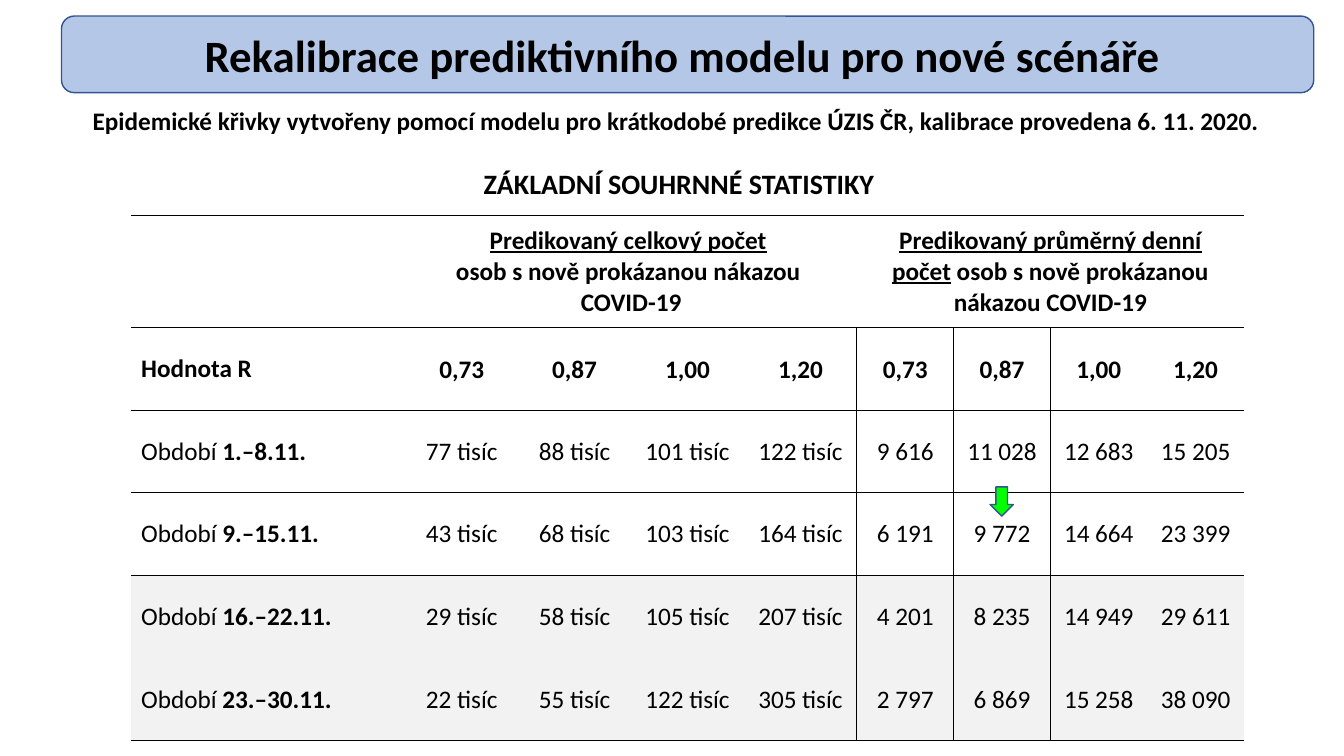
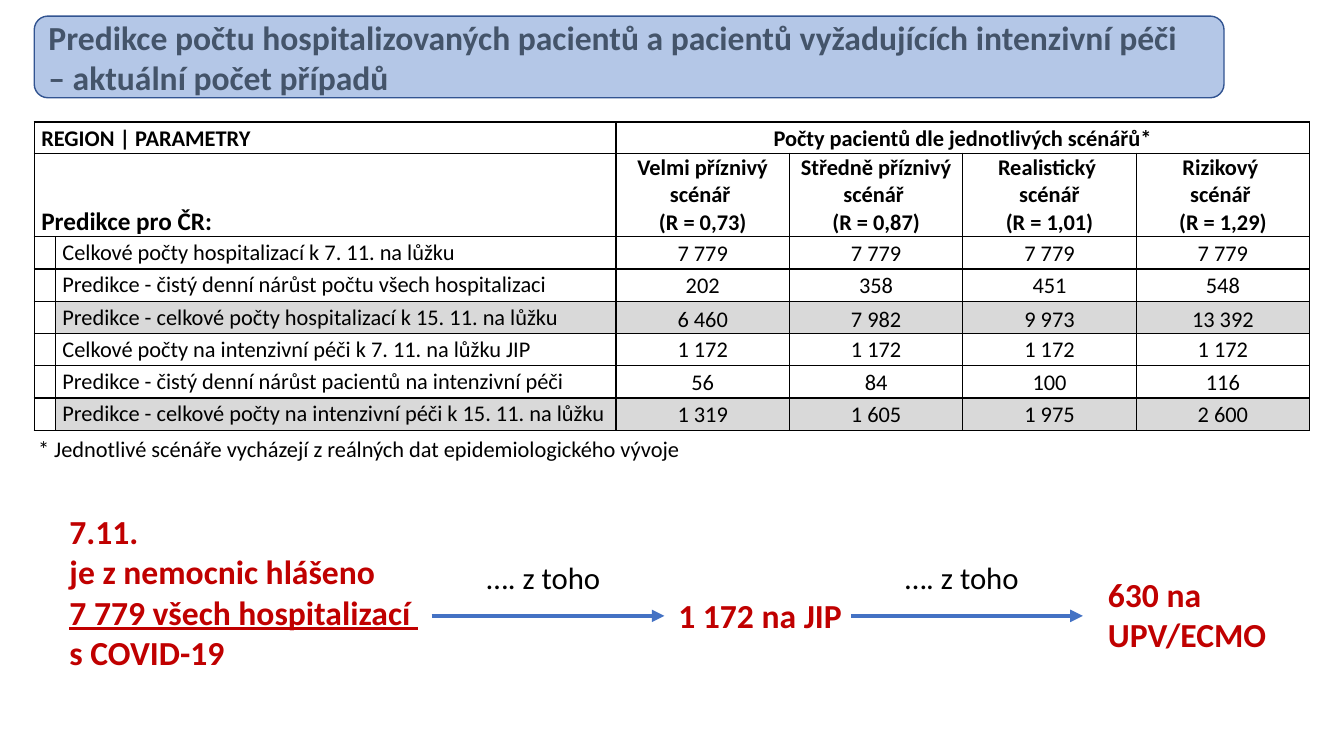
"""Build two slides on the recalibrated epidemic model and hospital predictions."""
from dataclasses import dataclass
from typing import Optional, Sequence, Union

import lxml.etree
import pptx
import pptx.dml.color
import pptx.enum.shapes
import pptx.enum.text
import pptx.oxml
import pptx.oxml.ns
import pptx.presentation
import pptx.shapes.autoshape
import pptx.shapes.connector
import pptx.slide
import pptx.table
import pptx.text.text
import pptx.util

Inches = pptx.util.Inches
Pt = pptx.util.Pt
RGBColor = pptx.dml.color.RGBColor
Align = pptx.enum.text.PP_ALIGN
Anchor = pptx.enum.text.MSO_ANCHOR
Shape = pptx.enum.shapes.MSO_SHAPE
qn = pptx.oxml.ns.qn

FONT = "Calibri"
BLACK = RGBColor(0x00, 0x00, 0x00)
SLATE = RGBColor(0x44, 0x54, 0x6A)
RED = RGBColor(0xC0, 0x00, 0x00)
GREEN = RGBColor(0x00, 0xFF, 0x00)
BAND_BLUE = RGBColor(0xB4, 0xC7, 0xE7)
OUTLINE_BLUE = RGBColor(0x32, 0x54, 0x91)
ARROW_BLUE = RGBColor(0x44, 0x72, 0xC4)
LIGHT_GREY = RGBColor(0xF2, 0xF2, 0xF2)
MID_GREY = RGBColor(0xD9, 0xD9, 0xD9)
PLAIN_TABLE_STYLE = "{2D5ABB26-0587-4C30-8999-92F81FD0307C}"

BOX_MARGINS = (0.1, 0.05, 0.1, 0.05)
TITLE_MARGINS = (0.14, 0.05, 0.14, 0.05)
LABEL_MARGINS = (0.07, 0, 0.07, 0)
VALUE_MARGINS = (0.01, 0.01, 0.01, 0)
NO_MARGINS = (0, 0, 0, 0)


@dataclass(frozen=True)
class Box:
    """Position and size in inches."""
    left: float
    top: float
    width: float
    height: float

    def lengths(self) -> tuple:
        """Return the box as lengths."""
        return tuple(Inches(value) for value in (self.left, self.top, self.width, self.height))


@dataclass(frozen=True)
class Run:
    """Piece of text that overrides the format of its paragraph."""
    text: str
    bold: Optional[bool] = None
    underline: Optional[bool] = None
    size: Optional[float] = None


@dataclass(frozen=True)
class Step:
    """Arrow of the patient flow with its caption box."""
    start: float
    end: float
    caption_left: float


@dataclass(frozen=True)
class PatientRow:
    """Table row with its label, scenario values and look."""
    label: str
    values: tuple
    sides: str = "LRTB"
    fill: Optional[RGBColor] = None
    anchor: Anchor = Anchor.MIDDLE


Paragraph = Union[str, Sequence[Run]]

PERIODS = (
    ("1.–8.11.", ("77 tisíc", "88 tisíc", "101 tisíc", "122 tisíc", "9 616", "11 028", "12 683", "15 205")),
    ("9.–15.11.", ("43 tisíc", "68 tisíc", "103 tisíc", "164 tisíc", "6 191", "9 772", "14 664", "23 399")),
    ("16.–22.11.", ("29 tisíc", "58 tisíc", "105 tisíc", "207 tisíc", "4 201", "8 235", "14 949", "29 611")),
    ("23.–30.11.", ("22 tisíc", "55 tisíc", "122 tisíc", "305 tisíc", "2 797", "6 869", "15 258", "38 090")),
)
REPRODUCTION_VALUES = ("0,73", "0,87", "1,00", "1,20")
GROUP_HEADS = (
    (1, "Predikovaný celkový počet", " \nosob s nově prokázanou nákazou \nCOVID-19"),
    (5, "Predikovaný průměrný denní počet", " osob s nově prokázanou nákazou COVID-19"),
)
SCENARIOS = (
    ("Velmi příznivý scénář ", "(R = 0,73)"),
    ("Středně příznivý scénář ", "(R = 0,87)"),
    ("Realistický ", " scénář ", "(R = 1,01)"),
    ("Rizikový ", "scénář ", "(R = 1,29)"),
)
PATIENT_ROWS = (
    PatientRow("Celkové počty hospitalizací k 7. 11. na lůžku", ("7 779",) * 4),
    PatientRow("Predikce - čistý denní nárůst počtu všech hospitalizaci", ("202", "358", "451", "548"), "LRT"),
    PatientRow("Predikce - celkové počty hospitalizací k 15. 11. na lůžku",
               ("6 460", "7 982", "9 973", "13 392"), "LRB", MID_GREY, Anchor.BOTTOM),
    PatientRow("Celkové počty na intenzivní péči k 7. 11. na lůžku JIP", ("1 172",) * 4),
    PatientRow("Predikce - čistý denní nárůst pacientů na intenzivní péči", ("56", "84", "100", "116"), "LRT"),
    PatientRow("Predikce - celkové počty na intenzivní péči k 15. 11. na lůžku",
               ("1 319", "1 605", "1 975", "2 600"), "LRB", MID_GREY),
)
STEPS = (Step(4.28, 6.59, 4.09), Step(8.44, 10.74, 8.24))


def write(holder: Union[pptx.text.text.TextFrame, pptx.table._Cell], paragraphs: Sequence[Paragraph], *,
          size: float = 18, bold: bool = False, color: RGBColor = BLACK, align: Align = Align.LEFT,
          anchor: Anchor = Anchor.TOP, margins: tuple = BOX_MARGINS, gap: float = 0,
          line_spacing: float = 1.0) -> None:
    """Write formatted paragraphs into a text frame or a table cell."""
    left, top, right, bottom = margins
    holder.margin_left, holder.margin_top = Inches(left), Inches(top)
    holder.margin_right, holder.margin_bottom = Inches(right), Inches(bottom)
    holder.vertical_anchor = anchor
    frame = holder.text_frame if isinstance(holder, pptx.table._Cell) else holder
    frame.word_wrap = True
    for index, content in enumerate(paragraphs):
        paragraph = frame.add_paragraph() if index else frame.paragraphs[0]
        paragraph.alignment = align
        paragraph.line_spacing = line_spacing
        if index and gap:
            paragraph.space_before = Pt(gap)
        for piece in (Run(content),) if isinstance(content, str) else content:
            for number, line in enumerate(piece.text.split("\n")):
                if number:
                    paragraph.add_line_break()
                run = paragraph.add_run()
                run.text = line
                run.font.name = FONT
                run.font.size = Pt(piece.size or size)
                run.font.bold = bold if piece.bold is None else piece.bold
                run.font.underline = piece.underline
                run.font.color.rgb = color


def add_text(slide: pptx.slide.Slide, box: Box, paragraphs: Sequence[Paragraph], **text_format) -> None:
    """Add a text box."""
    write(slide.shapes.add_textbox(*box.lengths()).text_frame, paragraphs, **text_format)


def add_figure(slide: pptx.slide.Slide, kind: Shape, box: Box, fill: RGBColor) -> pptx.shapes.autoshape.Shape:
    """Add a filled shape with the shared outline."""
    shape = slide.shapes.add_shape(kind, *box.lengths())
    shape.shadow.inherit = False
    shape.fill.solid()
    shape.fill.fore_color.rgb = fill
    shape.line.color.rgb = OUTLINE_BLUE
    shape.line.width = Pt(1)
    return shape


def add_titled_slide(presentation: pptx.presentation.Presentation, box: Box, text: str,
                     **text_format) -> pptx.slide.Slide:
    """Add a slide with its title on a rounded band."""
    slide = presentation.slides.add_slide(presentation.slide_layouts[5])
    title = slide.shapes.title
    title.left, title.top, title.width, title.height = box.lengths()
    title.text_frame.auto_size = pptx.enum.text.MSO_AUTO_SIZE.NONE
    write(title.text_frame, [text], bold=True, anchor=Anchor.MIDDLE, margins=TITLE_MARGINS, **text_format)
    band = add_figure(slide, Shape.ROUNDED_RECTANGLE, box, BAND_BLUE)
    title.element.addprevious(band.element)
    return slide


def add_table(slide: pptx.slide.Slide, left: float, top: float, widths: Sequence[float],
              heights: Sequence[float]) -> pptx.table.Table:
    """Add an unstyled table with the given column widths and row heights."""
    box = Box(left, top, sum(widths), sum(heights))
    table = slide.shapes.add_table(len(heights), len(widths), *box.lengths()).table
    table.first_row = table.horz_banding = False
    table._tbl.tblPr.find(qn("a:tableStyleId")).text = PLAIN_TABLE_STYLE
    for column, width in zip(table.columns, widths):
        column.width = Inches(width)
    for row, height in zip(table.rows, heights):
        row.height = Inches(height)
    for cell in table.iter_cells():
        cell.margin_left = cell.margin_top = cell.margin_right = cell.margin_bottom = 0
    return table


def finish_cell(cell: pptx.table._Cell, sides: str, fill: Optional[RGBColor] = None) -> None:
    """Draw the borders named by L, R, T and B, then fill the cell."""
    properties = cell._tc.get_or_add_tcPr()
    for side in (side for side in "LRTB" if side in sides):
        line = lxml.etree.SubElement(properties, qn(f"a:ln{side}"), w=str(Pt(1)))
        solid = lxml.etree.SubElement(line, qn("a:solidFill"))
        lxml.etree.SubElement(solid, qn("a:srgbClr"), val=str(BLACK))
    if fill is None:
        cell.fill.background()
    else:
        cell.fill.solid()
        cell.fill.fore_color.rgb = fill


def add_arrow(slide: pptx.slide.Slide, start: float, end: float, height: float) -> None:
    """Add a horizontal arrow."""
    connector = slide.shapes.add_connector(pptx.enum.shapes.MSO_CONNECTOR.STRAIGHT,
                                           Inches(start), Inches(height), Inches(end), Inches(height))
    connector.line.color.rgb = ARROW_BLUE
    connector.line.width = Pt(3)
    lxml.etree.SubElement(connector.line._get_or_add_ln(), qn("a:tailEnd"), type="triangle")
    lxml.etree.SubElement(connector.element.spPr, qn("a:effectLst"))


def build_model_slide(presentation: pptx.presentation.Presentation) -> None:
    """Build the slide with predicted case counts."""
    slide = add_titled_slide(presentation, Box(0.61, 0.16, 12.42, 0.76),
                             "Rekalibrace prediktivního modelu pro nové scénáře ", size=32, align=Align.CENTER)
    table = add_table(slide, 1.3, 2.14, [2.72] + [1.12] * 4 + [0.96] * 4, [1.11] + [0.82] * 5)
    for column, heading, rest in GROUP_HEADS:
        table.cell(0, column).merge(table.cell(0, column + 3))
        write(table.cell(0, column), [(Run(heading, underline=True), Run(rest))], bold=True,
              align=Align.CENTER, anchor=Anchor.MIDDLE)
    rows = [((Run("Hodnota R", bold=True),), REPRODUCTION_VALUES * 2)]
    rows += [((Run("Období "), Run(period, bold=True)), values) for period, values in PERIODS]
    for row, (label, values) in enumerate(rows, 1):
        write(table.cell(row, 0), [label], anchor=Anchor.MIDDLE)
        for column, value in enumerate(values, 1):
            write(table.cell(row, column), [value], bold=row == 1, align=Align.CENTER, anchor=Anchor.MIDDLE,
                  margins=VALUE_MARGINS if row == 1 else NO_MARGINS)
    for row in range(6):
        for column in range(9):
            sides = ("T" if row < 4 else "") + ("B" if row not in (3, 4) else "")
            if row:
                sides += ("L" if column in (5, 6) else "") + ("R" if column in (4, 5) else "")
            finish_cell(table.cell(row, column), sides, LIGHT_GREY if row > 3 else None)
    add_text(slide, Box(0.61, 1, 12.25, 1.04), [
        "Epidemické křivky vytvořeny pomocí modelu pro krátkodobé predikce ÚZIS ČR, "
        "kalibrace provedena 6. 11. 2020. ",
        (Run("ZÁKLADNÍ SOUHRNNÉ STATISTIKY", size=20),),
    ], bold=True, align=Align.CENTER, gap=22)
    add_figure(slide, Shape.DOWN_ARROW, Box(9.82, 4.83, 0.23, 0.29), GREEN)


def build_patient_slide(presentation: pptx.presentation.Presentation) -> None:
    """Build the slide with predicted hospital patients."""
    slide = add_titled_slide(presentation, Box(0.34, 0.16, 11.8, 0.81),
                             "Predikce počtu hospitalizovaných pacientů a pacientů vyžadujících intenzivní péči\n"
                             "– aktuální počet případů", size=24, color=SLATE)
    table = add_table(slide, 0.34, 1.21, [0.21, 5.56] + [1.72] * 4, [0.31, 0.83] + [0.32] * 6)
    for row, first, last in ((0, 0, 1), (0, 2, 5), (1, 0, 1)):
        table.cell(row, first).merge(table.cell(row, last))
    heading = dict(size=16, bold=True, anchor=Anchor.MIDDLE, margins=LABEL_MARGINS)
    write(table.cell(0, 0), ["REGION | PARAMETRY"], line_spacing=1.07, **heading)
    write(table.cell(0, 2), ["Počty pacientů dle jednotlivých scénářů*"], line_spacing=1.07,
          align=Align.CENTER, **heading)
    write(table.cell(1, 0), ["Predikce pro ČR:"], bold=True, anchor=Anchor.BOTTOM, margins=LABEL_MARGINS,
          line_spacing=1.07)
    for column, scenario in enumerate(SCENARIOS, 2):
        write(table.cell(1, column), scenario, align=Align.CENTER, **heading)
    for row in range(2):
        for column in range(6):
            finish_cell(table.cell(row, column), "LRTB")
    for row, patients in enumerate(PATIENT_ROWS, 2):
        write(table.cell(row, 1), [patients.label], size=16, anchor=Anchor.MIDDLE, margins=LABEL_MARGINS)
        for column, value in enumerate(patients.values, 2):
            write(table.cell(row, column), [value], size=16, align=Align.CENTER, anchor=patients.anchor,
                  margins=VALUE_MARGINS)
        for column in range(6):
            finish_cell(table.cell(row, column), patients.sides, patients.fill if column else None)
    add_text(slide, Box(0.28, 4.25, 8.96, 0.38),
             ["* Jednotlivé scénáře vycházejí z reálných dat epidemiologického vývoje"], size=16, line_spacing=1.07)
    reported = ["7.11.", "je z nemocnic hlášeno", (Run("7 779 všech hospitalizací ", underline=True),), "s COVID-19"]
    for box, paragraphs in ((Box(0.59, 5.02, 3.69, 1.72), reported),
                            (Box(6.63, 5.85, 1.83, 0.5), ["1 172 na JIP"]),
                            (Box(10.89, 5.64, 2.31, 0.91), ["630 na UPV/ECMO"])):
        add_text(slide, box, paragraphs, size=24, bold=True, color=RED)
    for step in STEPS:
        add_arrow(slide, step.start, step.end, 6.11)
        add_text(slide, Box(step.caption_left, 5.47, 2.6, 0.5), ["…. z toho"], size=22, align=Align.CENTER,
                 line_spacing=1.07)


def main() -> None:
    """Build and save the presentation."""
    presentation = pptx.Presentation()
    presentation.slide_width, presentation.slide_height = Inches(13.33), Inches(7.5)
    build_model_slide(presentation)
    build_patient_slide(presentation)
    presentation.save("out.pptx")


if __name__ == "__main__":
    main()
